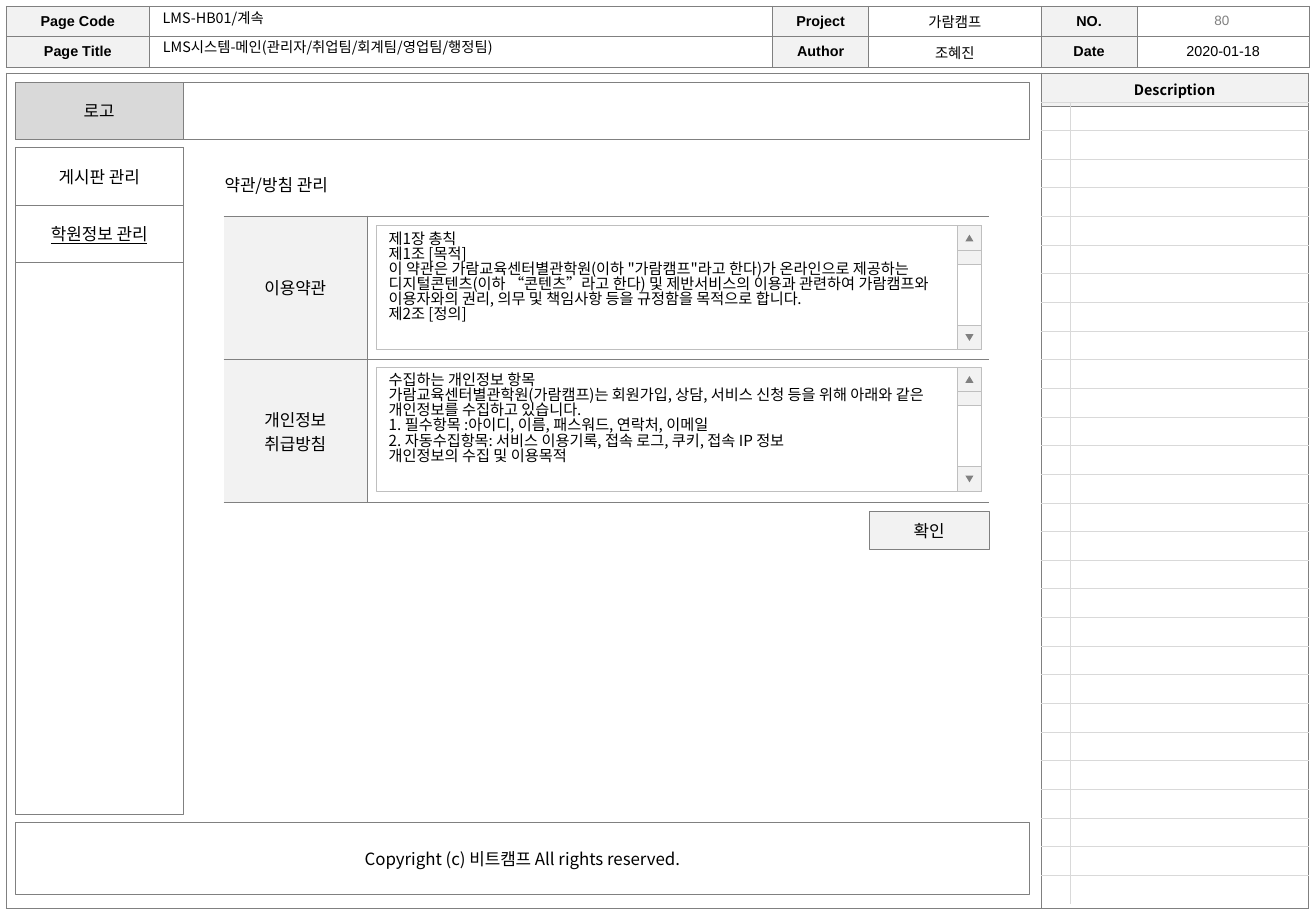
import pptx
import pptx.util
import pptx.dml.color
import pptx.enum.shapes
import pptx.enum.text
import pptx.oxml.ns
from lxml import etree

Pt = pptx.util.Pt
RGB = pptx.dml.color.RGBColor.from_string
qn = pptx.oxml.ns.qn
ALIGN = pptx.enum.text.PP_ALIGN
ANCHOR = pptx.enum.text.MSO_ANCHOR
SHAPE = pptx.enum.shapes.MSO_SHAPE
KOREAN = "Noto Sans CJK KR"
COLORS = {"ink": "000000", "muted": "7F7F7F", "frame": "808080", "edge": "BFBFBF",
          "rule": "D9D9D9", "label": "F2F2F2", "logo": "D9D9D9", "paper": "FFFFFF"}


def write(frame, text, size, font=KOREAN, align=ALIGN.CENTER, bold=False, color="ink"):
    frame.text = text
    frame.word_wrap = True
    for paragraph in frame.paragraphs:
        paragraph.alignment = align
        paragraph.space_before = Pt(0)
        for run in paragraph.runs:
            run.font.size = Pt(size)
            run.font.name = font
            run.font.bold = bold
            run.font.color.rgb = RGB(COLORS[color])
            etree.SubElement(run.font._element, qn("a:ea"), typeface=KOREAN)
        if not text:
            etree.SubElement(paragraph._p, qn("a:endParaRPr"), sz=str(size * 100))


def style_cell(cell, sides, color, width, fill=None):
    properties = cell._tc.get_or_add_tcPr()
    for side in "LRTB":
        line = etree.SubElement(properties, qn("a:ln" + side), w=str(Pt(width)))
        if side in sides:
            solid = etree.SubElement(line, qn("a:solidFill"))
            etree.SubElement(solid, qn("a:srgbClr"), val=COLORS[color])
        else:
            etree.SubElement(line, qn("a:noFill"))
    if fill:
        cell.fill.solid()
        cell.fill.fore_color.rgb = RGB(COLORS[fill])
    else:
        cell.fill.background()
    cell.vertical_anchor = ANCHOR.MIDDLE


deck = pptx.Presentation()
deck.slide_width = Pt(780)
deck.slide_height = Pt(540)
slide = deck.slides.add_slide(deck.slide_layouts[3])
page_title, terms, privacy = slide.placeholders

table_specs = {
    "description": (3.6, 43.2, [613.4, 158.4], [19.5, 475.9]),
    "header": (3.6, 3.6, [85, 369.4, 56.9, 102.2, 56.9, 102.2], [18.07] * 2),
    "policy": (132.5, 128, [85, 368.6], [85] * 2),
    "notes": (617, 60.4, [17, 141.4], [17] * 28),
}
tables = {}
for part, (left, top, widths, heights) in table_specs.items():
    grid = slide.shapes.add_table(len(heights), len(widths), Pt(left), Pt(top),
                                  Pt(sum(widths)), Pt(sum(heights))).table
    grid.first_row = False
    grid.horz_banding = False
    for column, width in zip(grid.columns, widths):
        column.width = Pt(width)
    for row, height in zip(grid.rows, heights):
        row.height = Pt(height)
    tables[part] = grid

description_cells = [("", "LTR", None), ("Description", "LTRB", "label"),
                     ("", "LRB", None), ("", "LTRB", None)]
for cell, (text, sides, fill) in zip(tables["description"].iter_cells(), description_cells):
    style_cell(cell, sides, "frame", 0.25, fill)
    write(cell.text_frame, text, 8.5 if text else 6, bold=True)

header_rows = [["Page Code", "", "Project", "가람캠프", "NO.", ""],
               ["Page Title", "", "Author", "조혜진", "Date", "2020-01-18"]]
for row, texts in enumerate(header_rows):
    for column, text in enumerate(texts):
        cell = tables["header"].cell(row, column)
        is_label = column % 2 == 0
        style_cell(cell, "LTRB", "frame", 0.25, "label" if is_label else None)
        cell.margin_left = cell.margin_right = cell.margin_top = cell.margin_bottom = Pt(2.88)
        write(cell.text_frame, text, 8.5 if text else 6, "Arial", bold=is_label)

for row, text in enumerate(["이용약관", "개인정보\n취급방침"]):
    label_cell, text_cell = tables["policy"].rows[row].cells
    style_cell(label_cell, "TRB", "frame", 0.5, "label")
    write(label_cell.text_frame, text, 10)
    style_cell(text_cell, "LTB", "frame", 0.5)
    write(text_cell.text_frame, "", 6)

for row in range(28):
    for column, sides in enumerate(["TR", "LT"]):
        cell = tables["notes"].cell(row, column)
        style_cell(cell, sides if row == 27 else sides + "B", "rule", 0.5)
        cell.margin_top = cell.margin_bottom = Pt(0)
        write(cell.text_frame, "", 6)

terms_text = """제1장 총칙
제1조 [목적]
이 약관은 가람교육센터별관학원(이하 "가람캠프"라고 한다)가 온라인으로 제공하는 디지털콘텐츠(이하 “콘텐츠”라고 한다) 및 제반서비스의 이용과 관련하여 가람캠프와 이용자와의 권리, 의무 및 책임사항 등을 규정함을 목적으로 합니다.
제2조 [정의]"""
privacy_text = """수집하는 개인정보 항목
가람교육센터별관학원(가람캠프)는 회원가입, 상담, 서비스 신청 등을 위해 아래와 같은 개인정보를 수집하고 있습니다.
1. 필수항목 :아이디, 이름, 패스워드, 연락처, 이메일
2. 자동수집항목: 서비스 이용기록, 접속 로그, 쿠키, 접속 IP 정보
개인정보의 수집 및 이용목적"""
for policy, text, top in [(terms, terms_text, 133.9), (privacy, privacy_text, 217.7)]:
    policy.left, policy.top, policy.width, policy.height = Pt(223.2), Pt(top), Pt(344.2), Pt(73.4)
    policy.fill.solid()
    policy.fill.fore_color.rgb = RGB(COLORS["paper"])
    policy.line.color.rgb = RGB(COLORS["edge"])
    policy.line.width = Pt(0.5)
    write(policy.text_frame, text, 9, align=ALIGN.LEFT)
    policy.text_frame.auto_size = pptx.enum.text.MSO_AUTO_SIZE.NONE
    policy.text_frame.vertical_anchor = ANCHOR.TOP
    for paragraph in policy.text_frame.paragraphs:
        indents = paragraph._p.get_or_add_pPr()
        indents.set("marL", "0")
        indents.set("indent", "0")
        etree.SubElement(indents, qn("a:buNone"))
        paragraph.line_spacing = 0.83

    scrollbar = slide.shapes.add_group_shape()
    for kind, x, y, width, height, fill, turn in [
            (SHAPE.RECTANGLE, 0, 0, 14.4, 73.4, "paper", 0),
            (SHAPE.RECTANGLE, 0, 14.4, 14.4, 8.4, "label", 0),
            (SHAPE.RECTANGLE, 0, 0, 14.4, 14.4, "label", 0),
            (SHAPE.ISOSCELES_TRIANGLE, 4.8, 5.2, 4.8, 4, "frame", 0),
            (SHAPE.RECTANGLE, 0, 59, 14.4, 14.4, "label", 0),
            (SHAPE.ISOSCELES_TRIANGLE, 4.8, 64.2, 4.8, 4, "frame", 180)]:
        piece = scrollbar.shapes.add_shape(kind, Pt(567.4 + x), Pt(top + y), Pt(width), Pt(height))
        piece.shadow.inherit = False
        piece.rotation = turn
        piece.fill.solid()
        piece.fill.fore_color.rgb = RGB(COLORS[fill])
        if kind == SHAPE.RECTANGLE:
            piece.line.color.rgb = RGB(COLORS["edge"])
            piece.line.width = Pt(0.5)
        else:
            piece.line.fill.background()

for text, left, top, width, height, fill, weight in [
        ("", 9, 49, 601.2, 33.8, "paper", 0.5),
        ("로고", 9, 49, 99.6, 33.8, "logo", 0.75),
        ("", 9, 87.6, 99.6, 395.2, "paper", 0.5),
        ("확인", 515.2, 303.2, 71, 22.4, "label", 0.5),
        ("게시판 관리", 9, 87.6, 99.6, 34, "paper", 0.5),
        ("학원정보 관리", 9, 121.6, 99.6, 34, "paper", 0.5),
        ("Copyright (c) 비트캠프 All rights reserved.", 9, 487.5, 601.2, 42.7, "paper", 0.5)]:
    panel = slide.shapes.add_shape(SHAPE.RECTANGLE, Pt(left), Pt(top), Pt(width), Pt(height))
    panel.shadow.inherit = False
    panel.fill.solid()
    panel.fill.fore_color.rgb = RGB(COLORS[fill])
    panel.line.color.rgb = RGB(COLORS["frame"])
    panel.line.width = Pt(weight)
    if text:
        write(panel.text_frame, text, 10)
        panel.text_frame.vertical_anchor = ANCHOR.MIDDLE
    if text == "학원정보 관리":
        panel.text_frame.paragraphs[0].runs[0].font.underline = True

page_title.left, page_title.top, page_title.width, page_title.height = Pt(89.3), Pt(20.9), Pt(368.6), Pt(17.3)
write(page_title.text_frame, "LMS시스템-메인(관리자/취업팀/회계팀/영업팀/행정팀)", 8.5, align=ALIGN.LEFT)
page_title.text_frame.auto_size = pptx.enum.text.MSO_AUTO_SIZE.NONE
page_title.text_frame.vertical_anchor = ANCHOR.TOP
page_title.text_frame.margin_top = page_title.text_frame.margin_bottom = Pt(2)

for text, left, top, width, height, size, font, color, align, inset in [
        ("LMS-HB01/계속", 89.3, 3.2, 368.6, 17.3, 8.5, KOREAN, "ink", ALIGN.LEFT, 2),
        ("약관/방침 관리", 126, 101.2, 82.8, 19.4, 10, KOREAN, "ink", ALIGN.LEFT, 2.5),
        ("80", 673.2, 3.6, 102.2, 17.3, 8, "Arial", "muted", ALIGN.CENTER, 3.6)]:
    caption = slide.shapes.add_textbox(Pt(left), Pt(top), Pt(width), Pt(height)).text_frame
    write(caption, text, size, font, align, color=color)
    caption.margin_top = caption.margin_bottom = Pt(inset)

deck.save("out.pptx")
